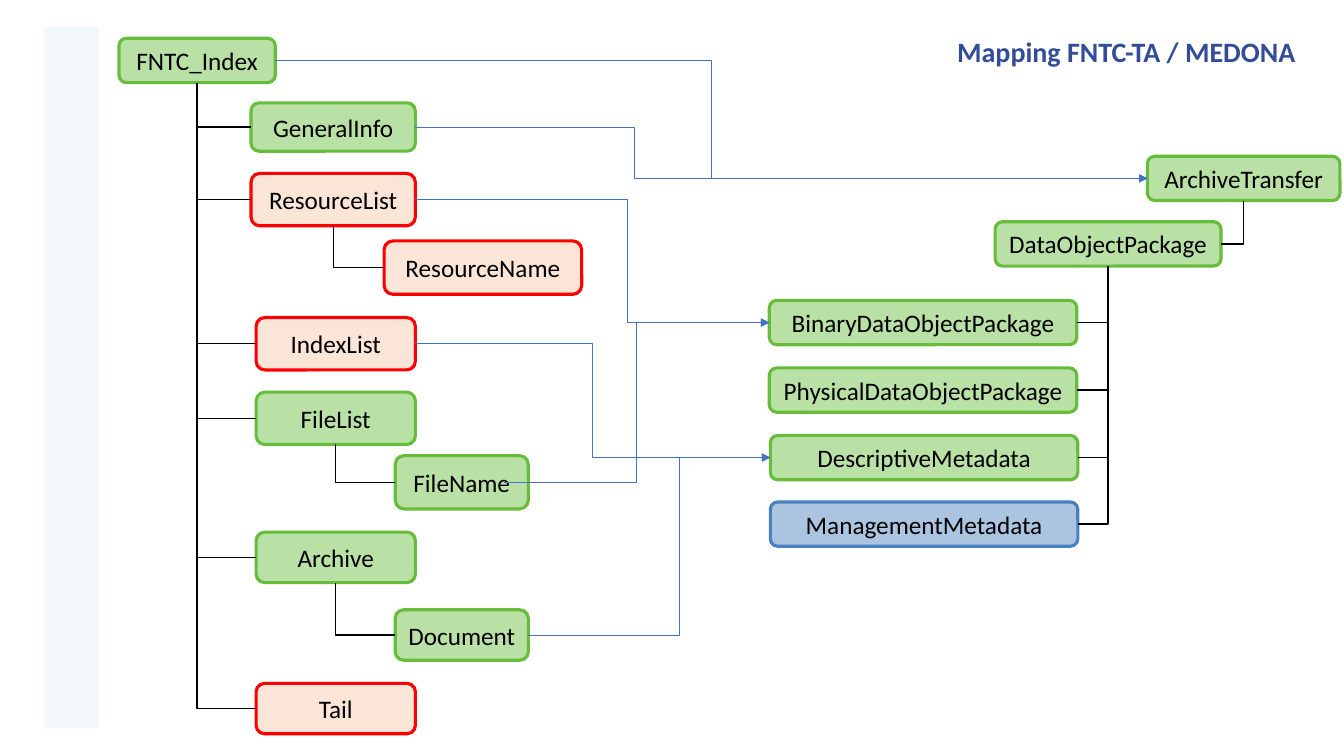
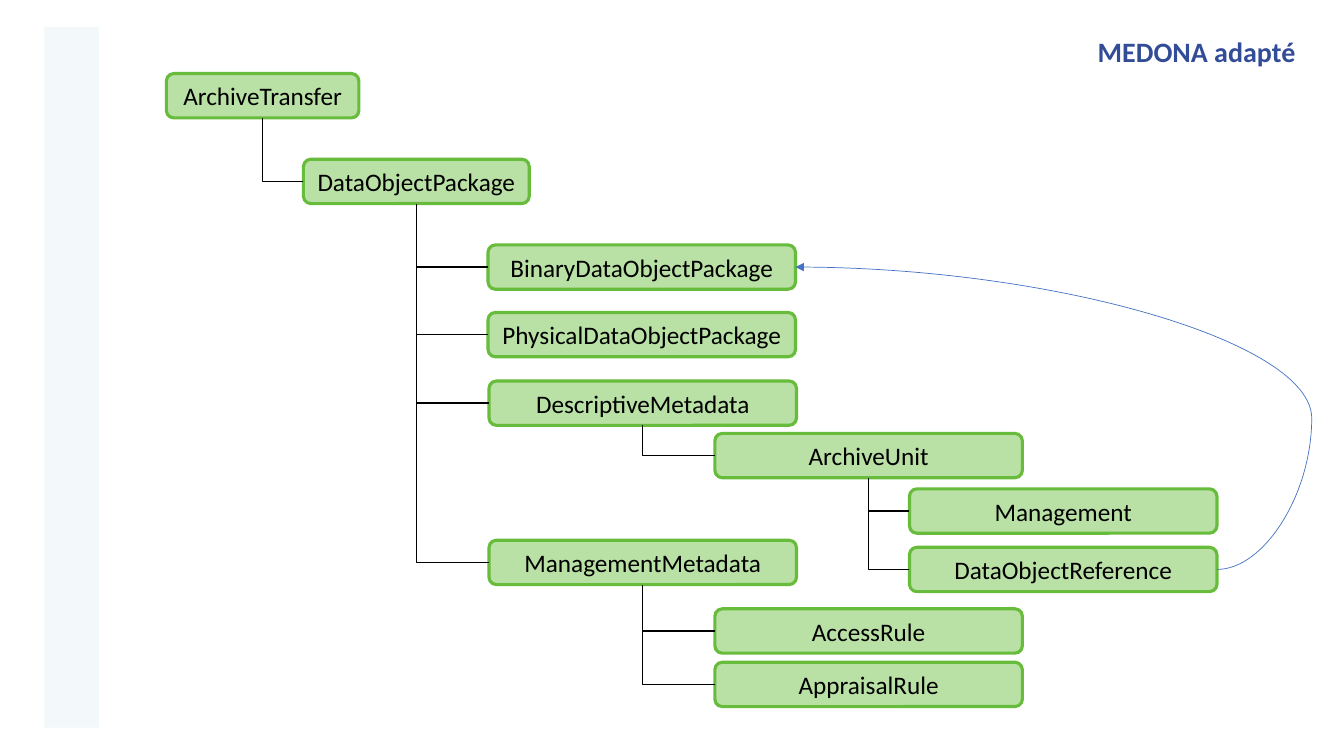
from pptx import Presentation
from pptx import util as u
from pptx.dml.color import RGBColor
from pptx.enum import shapes, text
from pptx.oxml.ns import qn
from lxml import etree

PX = 9144  # 100 px to the inch
LEFT, BOTTOM, RIGHT = 1, 2, 3  # connection sites of a box
KIND = shapes.MSO_CONNECTOR


def px(n):
    return u.Emu(n * PX)


def rgb(code):
    return RGBColor.from_string(code)


class Deck:
    FONT, INK, HEAD, BAND, FLOW = "Calibri", "000000", "334C98", "F3F8FA", "4472C4"
    TONES = {  # fill, outline
        "green": ("B9E0A5", "68BC3B"),
        "red": ("FBE5D6", "FF0000"),
        "blue": ("ABC5E1", "4A80C0"),
    }

    def __init__(self):
        self.prs = Presentation()
        self.prs.slide_width, self.prs.slide_height = u.Inches(13.33), u.Inches(7.5)

    def page(self, title):
        """Start a slide with its side band and title."""
        self.slide = self.prs.slides.add_slide(self.prs.slide_layouts[5])
        self.boxes = {}
        self.shape("RECTANGLE", (44, 27, 54, 695), self.BAND)
        head = self.slide.shapes.title
        head.left, head.top, head.width, head.height = map(px, (118, 29, 1177, 44))
        self.label(head, title, 20, self.HEAD, text.PP_ALIGN.RIGHT, True)

    def label(self, shape, words, size, color, align, bold=False):
        frame = shape.text_frame
        frame.text = words
        frame.word_wrap = True
        frame.vertical_anchor = text.MSO_ANCHOR.MIDDLE
        para = frame.paragraphs[0]
        para.alignment = align
        font = para.runs[0].font
        font.name, font.size, font.bold = self.FONT, u.Pt(size), bold
        font.color.rgb = rgb(color)

    def shape(self, kind, at, fill, line=None):
        item = self.slide.shapes.add_shape(
            shapes.MSO_SHAPE[kind], *map(px, at))
        item.shadow.inherit = False
        item.fill.solid()
        item.fill.fore_color.rgb = rgb(fill)
        if line:
            item.line.color.rgb = rgb(line)
            item.line.width = u.Pt(2.25)
        else:
            item.line.fill.background()
        return item

    def box(self, name, x, y, w=305, h=44, tone="green"):
        item = self.shape("ROUNDED_RECTANGLE", (x, y, w, h), *self.TONES[tone])
        self.label(item, name, 18, self.INK, text.PP_ALIGN.CENTER)
        self.boxes[name] = item

    def join(self, kind, start, end, color, width):
        """Connect two (box, site) pairs."""
        line = self.slide.shapes.add_connector(kind, 0, 0, 0, 0)
        line.begin_connect(*start)
        line.end_connect(*end)
        line.line.color.rgb = rgb(color)
        line.line.width = u.Pt(width)
        etree.SubElement(line._element.spPr, qn("a:effectLst"))
        return line

    def tree(self, parent, *kids):
        """Hang each child from the bottom of its parent."""
        top = self.boxes[parent]
        mid = top.left + top.width // 2
        for name in kids:
            kid = self.boxes[name]
            side = LEFT if kid.left > mid else RIGHT
            line = self.join(KIND.ELBOW, (kid, side), (top, BOTTOM), self.INK, 1)
            line._element.spPr.find(qn("a:prstGeom")).set("prst", "bentConnector2")

    def flow(self, start, end, bend, kind=KIND.ELBOW, site=LEFT, inset=0):
        """Draw a mapping arrow; bend is the turn in percent of its width."""
        first = self.boxes[start]
        line = self.join(kind, (first, RIGHT), (self.boxes[end], site), self.FLOW, 0.5)
        spot = line._element.spPr
        if inset:  # begin inside the box, so free of its edge
            line.begin_x = first.left + first.width - px(inset)
            glue = line._element.find(".//" + qn("a:stCxn"))
            glue.getparent().remove(glue)
        etree.SubElement(spot.find(qn("a:ln")), qn("a:tailEnd"), type="triangle")
        etree.SubElement(spot.find(".//" + qn("a:avLst")), qn("a:gd"),
                         name="adj1", fmla=f"val {round(bend * 1000)}")


def mapping(deck):
    deck.page("Mapping FNTC-TA / MEDONA")
    # Source tree
    deck.box("FNTC_Index", 118, 38, 155)
    deck.box("GeneralInfo", 249, 102, 163, 48)
    deck.box("ResourceList", 249, 172, 163, 52, "red")
    deck.box("ResourceName", 381, 239, 196, 53, "red")
    for name, y, h, tone in (
            ("IndexList", 315, 52, "red"), ("FileList", 389, 52, "green"),
            ("Archive", 528, 50, "green"), ("Tail", 678, 50, "red")):
        deck.box(name, 254, y, 158, h, tone)
    deck.box("FileName", 392, 452, 132, 53)
    deck.box("Document", 392, 605, 132, 50)
    # Target tree
    deck.box("ArchiveTransfer", 1138, 155, 191)
    deck.box("DataObjectPackage", 987, 220, 224)
    deck.box("BinaryDataObjectPackage", 763, 298)
    deck.box("PhysicalDataObjectPackage", 763, 365)
    deck.box("DescriptiveMetadata", 764, 432)
    deck.box("ManagementMetadata", 764, 498, tone="blue")
    # Branches
    deck.tree("FNTC_Index", "GeneralInfo", "ResourceList", "IndexList",
              "FileList", "Archive", "Tail")
    deck.tree("ResourceList", "ResourceName")
    deck.tree("FileList", "FileName")
    deck.tree("Archive", "Document")
    deck.tree("ArchiveTransfer", "DataObjectPackage")
    deck.tree("DataObjectPackage", "BinaryDataObjectPackage",
              "PhysicalDataObjectPackage", "DescriptiveMetadata",
              "ManagementMetadata")
    # Mapping arrows
    deck.flow("FNTC_Index", "ArchiveTransfer", 50)
    deck.flow("GeneralInfo", "ArchiveTransfer", 29.9)
    deck.flow("FileName", "BinaryDataObjectPackage", 50, inset=24)
    deck.flow("Document", "DescriptiveMetadata", 62.5)
    deck.flow("IndexList", "DescriptiveMetadata", 50)
    deck.flow("ResourceList", "BinaryDataObjectPackage", 60)


def adapted(deck):
    deck.page("MEDONA adapté")
    # Boxes
    deck.box("ArchiveTransfer", 165, 73, 191)
    deck.box("DataObjectPackage", 301, 158, 224)
    for name, x, y in (
            ("BinaryDataObjectPackage", 484, 243),
            ("PhysicalDataObjectPackage", 484, 310),
            ("DescriptiveMetadata", 485, 378),
            ("ManagementMetadata", 485, 536),
            ("AccessRule", 709, 604), ("AppraisalRule", 709, 657),
            ("ArchiveUnit", 709, 430), ("Management", 902, 485),
            ("DataObjectReference", 902, 543)):
        deck.box(name, x, y)
    # Branches
    deck.tree("ArchiveTransfer", "DataObjectPackage")
    deck.tree("DataObjectPackage", "BinaryDataObjectPackage",
              "PhysicalDataObjectPackage", "DescriptiveMetadata",
              "ManagementMetadata")
    deck.tree("DescriptiveMetadata", "ArchiveUnit")
    deck.tree("ArchiveUnit", "Management", "DataObjectReference")
    deck.tree("ManagementMetadata", "AccessRule", "AppraisalRule")
    # Reference arrow
    deck.flow("DataObjectReference", "BinaryDataObjectPackage", -22.5,
              KIND.CURVE, RIGHT)


def main():
    deck = Deck()
    mapping(deck)
    adapted(deck)
    deck.prs.save("out.pptx")


if __name__ == "__main__":
    main()
